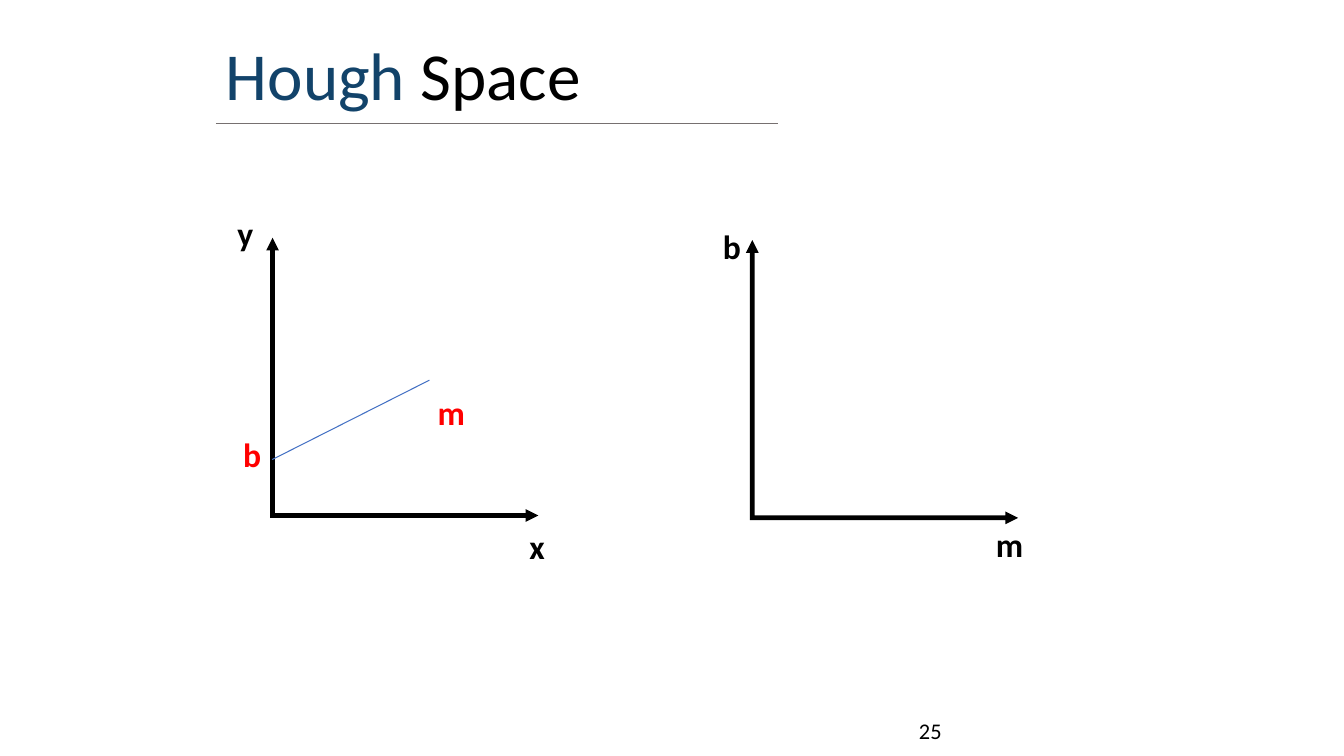
from dataclasses import dataclass

from lxml.etree import SubElement
from pptx import Presentation
from pptx.dml.color import RGBColor as Rgb
from pptx.enum.shapes import MSO_CONNECTOR as Link
from pptx.enum.text import MSO_ANCHOR as Anchor
from pptx.oxml.ns import qn
from pptx.util import Cm, Pt


@dataclass(frozen=True)
class Theme:
    """Colours, font and type sizes of the slide."""
    ink: str = "000000"
    navy: str = "12436A"
    red: str = "FF0000"
    blue: str = "4471C4"
    grey: str = "767070"
    font: str = "Calibri"
    head: int = 48
    label: int = 24
    page: int = 16
    hair: float = 0.75


LOOK = Theme()


def style(item, form):
    """Set each attribute of item from the format dict."""
    for name, value in form.items():
        setattr(item, name, value)


def write(slide, box, rows, size, bold=False, inset=0.03, anchor=Anchor.TOP):
    """Write rows of (indent, space before, runs) into a text box."""
    frame = slide.shapes.add_textbox(*map(Cm, box)).text_frame
    style(frame, {"word_wrap": True, "vertical_anchor": anchor,
                  "margin_left": 0, "margin_right": 0,
                  "margin_top": Cm(inset), "margin_bottom": 0})
    for i, (indent, gap, runs) in enumerate(rows):
        para = frame.add_paragraph() if i else frame.paragraphs[0]
        para._p.get_or_add_pPr().set("marL", str(Cm(indent)))
        if gap:
            para.space_before = Pt(gap)
        for text, color in runs:
            run = para.add_run()
            run.text = text
            style(run.font, {"name": LOOK.font, "size": Pt(size), "bold": bold})
            run.font.color.rgb = Rgb.from_string(color)


def stroke(slide, start, end, color):
    """Draw a thin straight line."""
    line = slide.shapes.add_connector(
        Link.STRAIGHT, *map(Cm, (*start, *end)))
    line.line.color.rgb = Rgb.from_string(color)
    line.line.width = Pt(LOOK.hair)
    SubElement(line._element.spPr, qn("a:effectLst"))


def title(slide, left, top, width, height):
    """Place the heading and the rule below it."""
    runs = [("Hough ", LOOK.navy), ("Space", LOOK.ink)]
    write(slide, (left, top, width, height), [(0.03, 0, runs)],
          LOOK.head, anchor=Anchor.MIDDLE)
    base = top + height + 0.23
    stroke(slide, (left - 0.22, base), (left + 13.95, base), LOOK.grey)


def axes(slide, left, top, width, height, labels):
    """Draw an L of two arrows and the label of each axis."""
    half, thin, tip = 0.16, 0.06, 0.32
    low, neck = height - half, width - tip
    points = [(half, 0), (2 * half, tip), (half + thin, tip),
              (half + thin, low - thin), (neck, low - thin),
              (neck, low - half), (width, low), (neck, height),
              (neck, low + thin), (half - thin, low + thin),
              (half - thin, tip), (0, tip)]
    spots = [(Cm(left + x), Cm(top + y)) for x, y in points]
    pen = slide.shapes.build_freeform(*spots[0])
    pen.add_line_segments(spots[1:], close=True)
    shape = pen.convert_to_shape()
    shape.shadow.inherit = False
    shape.fill.solid()
    shape.fill.fore_color.rgb = Rgb.from_string(LOOK.ink)
    shape.line.fill.background()
    for text, x, y, wide in labels:
        write(slide, (left + x, top + y, wide, 1.09),
              [(0.03, 0, [(text, LOOK.ink)])], LOOK.label, bold=True)


def slope(slide, left, top):
    """Draw the sample line with its slope and intercept."""
    stroke(slide, (left + 0.15, top + 5.59), (left + 4.11, top + 3.59),
           LOOK.blue)
    rows = [(4.93, 0, [("m", LOOK.red)]), (0.03, 1.6, [("b", LOOK.red)])]
    write(slide, (left - 0.61, top + 3.78, 5.64, 2.21), rows,
          LOOK.label, bold=True, inset=0.1)


def main():
    """Build and save the slide."""
    deck = Presentation()
    style(deck, {"slide_width": Cm(33.87), "slide_height": Cm(19.05)})
    slide = deck.slides.add_slide(deck.slide_layouts[6])
    title(slide, 5.66, 0.81, 11.4, 2.08)
    axes(slide, 6.71, 5.99, 6.86, 7.16,
         [("y", -0.76, -0.66, 0.48), ("x", 6.6, 7.24, 0.46)])
    slope(slide, 6.71, 5.99)
    axes(slide, 18.8, 6.05, 6.86, 7.16,
         [("b", -0.61, -0.38, 0.53), ("m", 6.27, 7.11, 0.76)])
    write(slide, (23.06, 18.06, 0.81, 0.64),
          [(0.1, 0, [("25", LOOK.ink)])], LOOK.page, inset=0)
    deck.save("out.pptx")


if __name__ == "__main__":
    main()
